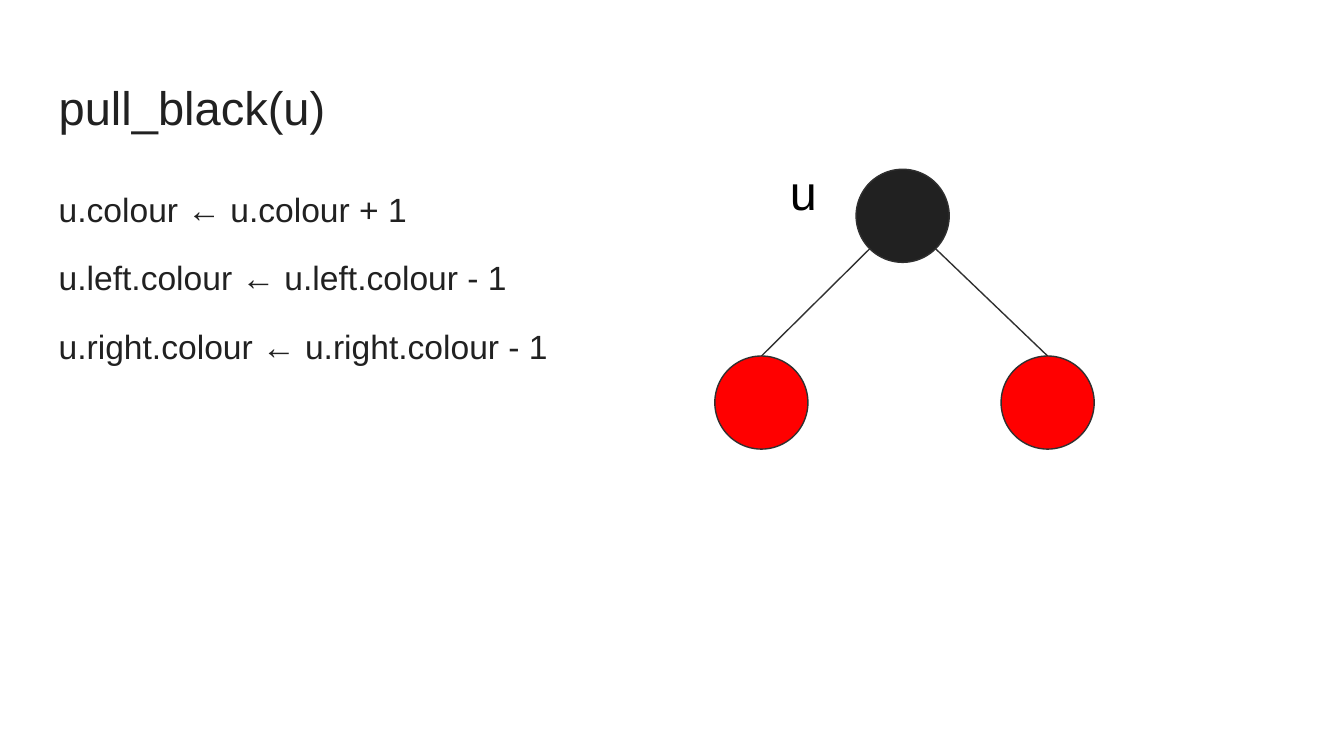
import math

from lxml import etree
from pptx import Presentation
from pptx.dml.color import RGBColor
from pptx.enum import shapes, text
from pptx.oxml.ns import qn
from pptx.util import Cm, Pt

FONT = "Arial"
INK, EDGE, RED, BLACK = "212121", "303030", "FF0000", "000000"
NODE = 1.76  # node diameter in cm


def rgb(value):
    return RGBColor.from_string(value)


def add_text(s, box, lines, size, color=INK, spacing=None, gap=0):
    sp = s.shapes.add_textbox(*map(Cm, box))
    tf = sp.text_frame
    tf.word_wrap = True
    tf.vertical_anchor = text.MSO_ANCHOR.TOP
    tf.margin_left = tf.margin_right = tf.margin_top = tf.margin_bottom = Cm(0.25)
    tf.text = "\n".join(lines)
    for i, p in enumerate(tf.paragraphs):
        if spacing:
            p.line_spacing = spacing
        if i and gap:
            p.space_before = Pt(gap)
        for r in p.runs:
            r.font.name, r.font.size = FONT, Pt(size)
            r.font.color.rgb = rgb(color)
    return sp


def add_edge(s, x1, y1, x2, y2):
    cx = s.shapes.add_connector(
        shapes.MSO_CONNECTOR.STRAIGHT, Cm(x1), Cm(y1), Cm(x2), Cm(y2))
    cx.line.color.rgb = rgb(EDGE)
    cx.line.width = Pt(0.75)
    etree.SubElement(cx._element.spPr, qn("a:effectLst"))


def add_node(s, x, y, fill):
    """Draw a round node centred on x, y."""
    r = NODE / 2
    sp = s.shapes.add_shape(
        shapes.MSO_SHAPE.OVAL, Cm(x - r), Cm(y - r), Cm(NODE), Cm(NODE))
    sp.shadow.inherit = False
    sp.fill.solid()
    sp.fill.fore_color.rgb = rgb(fill)
    sp.line.color.rgb = rgb(EDGE)
    sp.line.width = Pt(0.75)


def add_tree(s, left, top, width, height):
    """Draw a black root u over two red children."""
    r = NODE / 2
    root_x, root_y = left + 3.55, top + r
    children = [left + r, left + width - r]
    child_y = top + height - r

    # Edges run from the root's lower diagonals to the tops of the children
    d = r * math.sqrt(0.5)
    for child_x, side in zip(children, (-1, 1)):
        add_edge(s, root_x + side * d, root_y + d, child_x, child_y - r)

    # Root label
    add_text(s, (left + 1.17, top - 0.38, 1.19, 1.63), ["u"], 26, BLACK)

    # Nodes
    for child_x in children:
        add_node(s, child_x, child_y, RED)
    add_node(s, root_x, root_y, INK)


def main():
    prs = Presentation()
    prs.slide_width, prs.slide_height = Cm(25.4), Cm(14.29)
    s = prs.slides.add_slide(prs.slide_layouts[6])

    # Title
    add_text(s, (0.86, 1.24, 23.67, 1.6), ["pull_black(u)"], 25.2)

    # Pseudocode
    add_text(s, (0.86, 3.2, 10.13, 5.44), [
        "u.colour ← u.colour + 1",
        "u.left.colour ← u.left.colour - 1",
        "u.right.colour ← u.right.colour - 1",
    ], 18, spacing=1.15, gap=12)

    # Tree diagram
    add_tree(s, 13.51, 3.2, 7.17, 5.29)

    prs.save("out.pptx")


if __name__ == "__main__":
    main()
